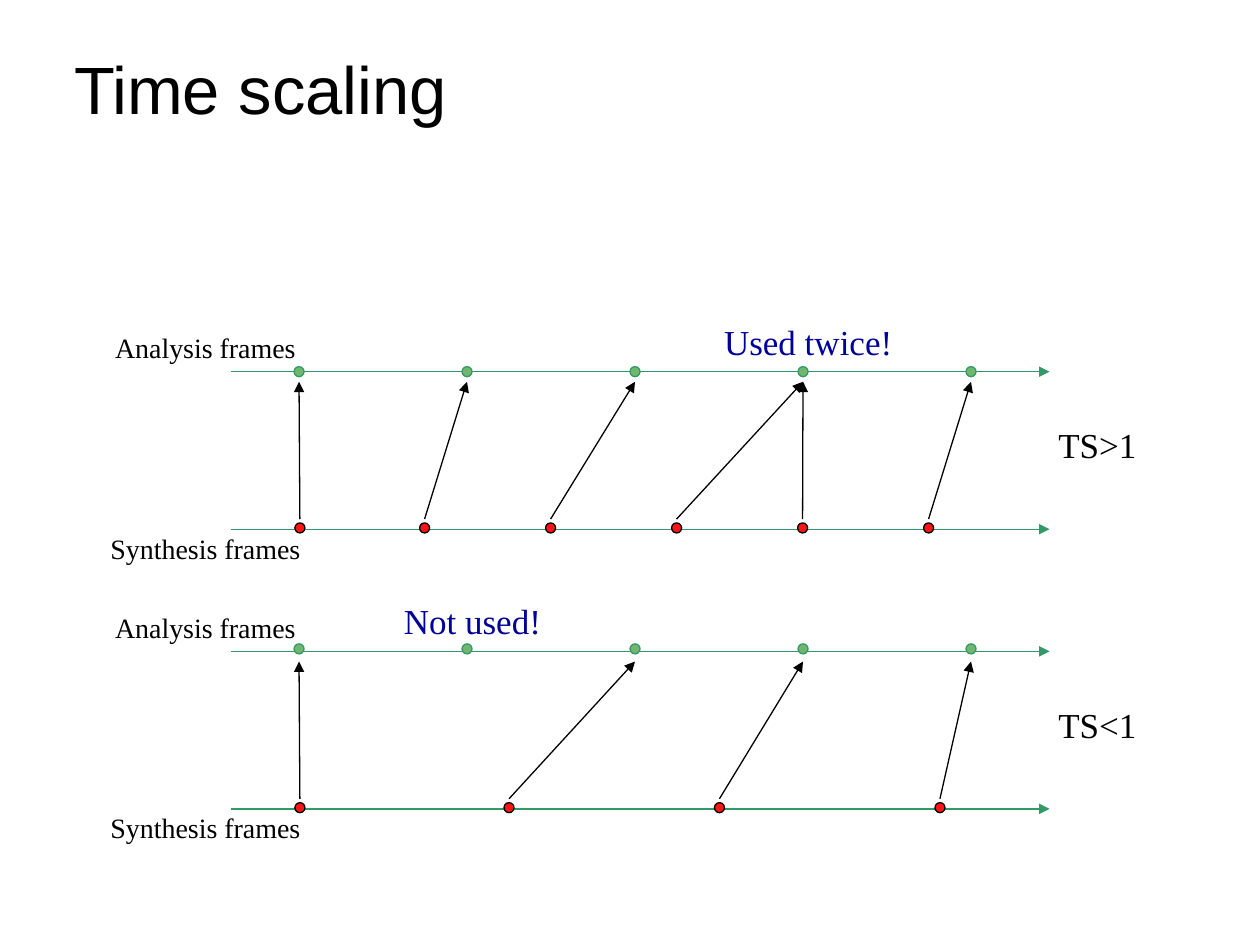
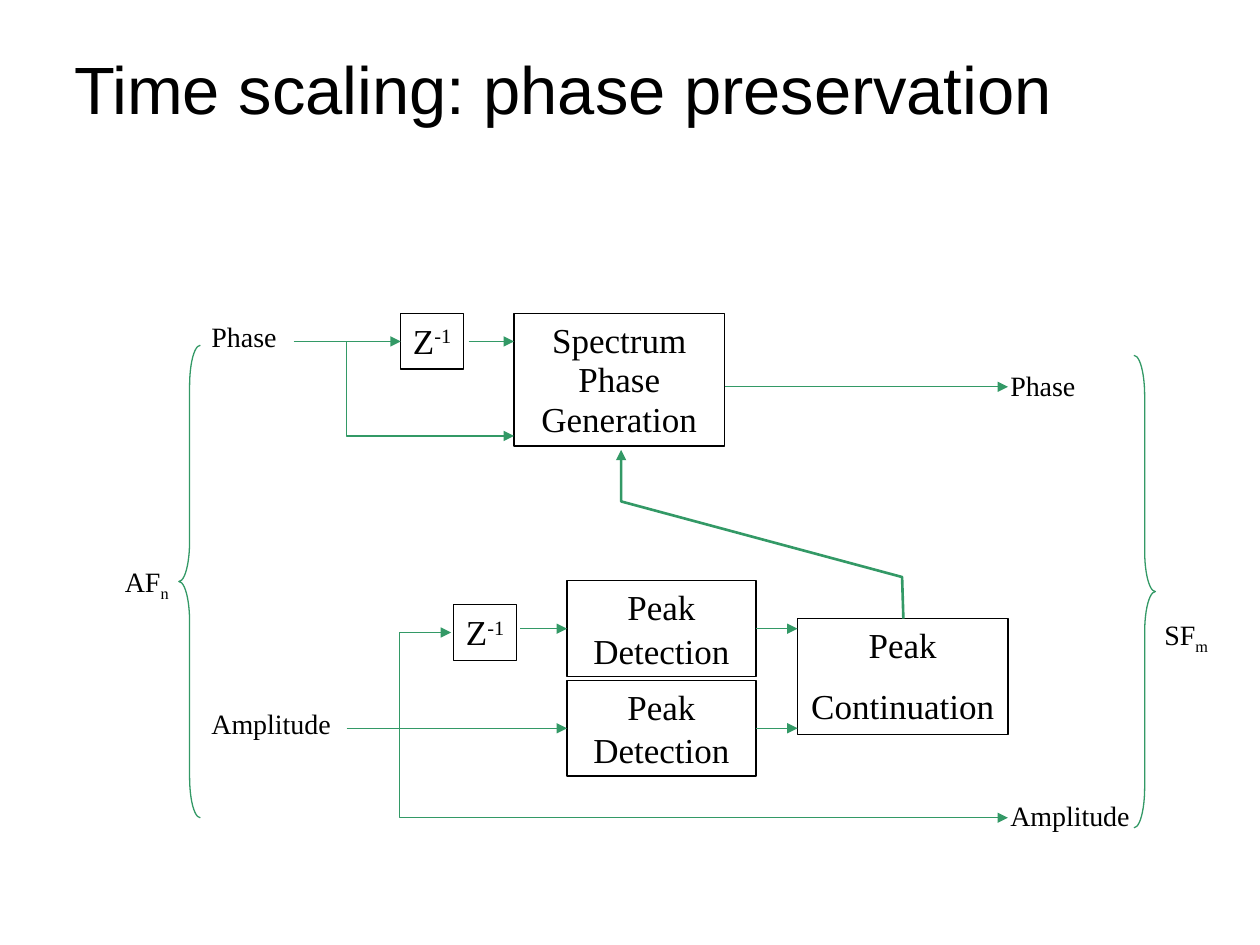
"""Builds two slides on time scaling: frame mapping and phase preservation."""
from lxml.etree import SubElement
from pptx import Presentation
from pptx.dml.color import RGBColor
from pptx.enum.shapes import MSO_CONNECTOR, MSO_SHAPE as SHAPE
from pptx.enum.text import MSO_ANCHOR as ANCHOR, PP_ALIGN as ALIGN
from pptx.oxml.ns import qn
from pptx.util import Inches, Pt

BLACK = RGBColor(0x00, 0x00, 0x00)
WHITE = RGBColor(0xFF, 0xFF, 0xFF)
GREEN = RGBColor(0x33, 0x99, 0x66)
LIGHT_GREEN = RGBColor(0x6F, 0xB7, 0x6F)
RED = RGBColor(0xFE, 0x14, 0x14)
NAVY = RGBColor(0x00, 0x00, 0x99)
TRACK_LEFT, TRACK_RIGHT = 1.83, 8.33
DOT = 0.08


def write(shape, lines, size, color=BLACK, font="Times New Roman", align=ALIGN.CENTER,
          anchor=ANCHOR.TOP, spacing=(0.93, 0.93), top=0.07, script=None):
    """Fill a shape with paragraphs, with an optional raised or lowered ending."""
    frame = shape.text_frame
    frame.word_wrap = script is None
    frame.vertical_anchor = anchor
    frame.margin_top, frame.margin_bottom = Inches(top), Inches(0.05)
    for number, line in enumerate(lines):
        para = frame.add_paragraph() if number else frame.paragraphs[0]
        para.alignment = align
        para.line_spacing = spacing[number]
        if number:
            para.space_before = Pt(12.5)
        para.font.size, para.font.name, para.font.color.rgb = Pt(size), font, color
        para.add_run().text = line
    if script:
        span = para.add_run()
        span.text, baseline = script
        span.font._element.set("baseline", str(baseline))


def arrow(line, color=GREEN, width=0.75):
    """Style a connector or an open outline as a flat arrow."""
    line.line.color.rgb = color
    line.line.width = Pt(width)
    properties = line._element.spPr
    SubElement(properties.find(qn("a:ln")), qn("a:tailEnd"), type="triangle")
    SubElement(properties, qn("a:effectLst"))


deck = Presentation()
deck.slide_width, deck.slide_height = Inches(10), Inches(7.5)
pages = []
for title in ("Time scaling", "Time scaling: phase preservation"):
    page = deck.slides.add_slide(deck.slide_layouts[6])
    box = page.shapes.add_textbox(Inches(0.49), Inches(0.01), Inches(8.51), Inches(1.35))
    write(box, [title], 38.2, font="Arial", align=ALIGN.LEFT, anchor=ANCHOR.MIDDLE,
          spacing=[1.0], top=0.08)
    pages.append(page)
frames_page, phase_page = pages

analysis_lefts = [(7 + 4 * step) / 3 for step in range(5)]
scalings = [
    ("TS>1", 2.95, 0.04, [2.34, 3.33, 4.33, 5.33, 6.33, 7.33], [0, 1, 2, 3, 3, 4],
     ("Used twice!", 5.5, 1.83)),
    ("TS<1", 5.17, 0.06, [2.34, 4, 5.67, 7.42], [0, 2, 3, 4], ("Not used!", 3, 1.5)),
]
for scale, axis, rise, synthesis_lefts, targets, (remark, remark_left, remark_width) in scalings:
    for y in (axis, axis + 1.25):
        arrow(frames_page.shapes.add_connector(
            MSO_CONNECTOR.STRAIGHT, Inches(TRACK_LEFT), Inches(y), Inches(TRACK_RIGHT), Inches(y)))
    for lefts, top, fill, outline in ((analysis_lefts, axis - rise, LIGHT_GREEN, GREEN),
                                      (synthesis_lefts, axis + 1.2, RED, BLACK)):
        for left in lefts:
            dot = frames_page.shapes.add_shape(
                SHAPE.OVAL, Inches(left), Inches(top), Inches(DOT), Inches(DOT))
            dot.shadow.inherit = False
            dot.fill.solid()
            dot.fill.fore_color.rgb = fill
            dot.line.color.rgb = outline
            dot.line.width = Pt(0.75)
    for left, target in zip(synthesis_lefts, targets):
        arrow(frames_page.shapes.add_connector(
            MSO_CONNECTOR.STRAIGHT, Inches(left + DOT / 2), Inches(axis + 1.17),
            Inches(analysis_lefts[target] + DOT / 2), Inches(axis + 0.08)), BLACK)
    for text, left, top, width, size, color in (
            ("Analysis frames", 0.67, axis - 0.37, 1.92, 16, BLACK),
            ("Synthesis frames", 0.67, axis + 1.22, 1.92, 16, BLACK),
            (scale, 8.25, axis + 0.37, 0.92, 20, BLACK),
            (remark, remark_left, axis - 0.45, remark_width, 20, NAVY)):
        box = frames_page.shapes.add_textbox(
            Inches(left), Inches(top), Inches(width), Inches(0.4))
        write(box, [text], size, color)

for text, left, top in (("Phase", 1.58, 2.49), ("Amplitude", 1.58, 5.56),
                        ("Phase", 7.92, 2.88), ("Amplitude", 7.92, 6.29)):
    box = phase_page.shapes.add_textbox(Inches(left), Inches(top), Inches(1.17), Inches(0.37))
    write(box, [text], 16, align=ALIGN.LEFT)

for text, index, left, top, brace, brace_left, brace_top in (
        ("AF", "n", 0.75, 4.41, SHAPE.LEFT_BRACE, 1.42, 2.74),
        ("SF", "m", 9, 4.83, SHAPE.RIGHT_BRACE, 9, 2.82)):
    box = phase_page.shapes.add_textbox(Inches(left), Inches(top), Inches(0.83), Inches(0.4))
    write(box, [text], 16, script=(index, -25000))
    bracket = phase_page.shapes.add_shape(
        brace, Inches(brace_left), Inches(brace_top), Inches(0.17), Inches(3.75))
    bracket.adjustments[0] = 1.88
    bracket.shadow.inherit = False
    bracket.fill.background()
    bracket.line.color.rgb = GREEN
    bracket.line.width = Pt(0.75)

delay = dict(lines=["Z"], script=("-1", 30000), anchor=ANCHOR.MIDDLE)
detection = dict(lines=["Peak", "Detection"], spacing=(0.74, 0.46), top=0.12)
blocks = {}
for name, left, top, width, height, content in (
        ("phase delay", 3.18, 2.49, 0.5, 0.44, delay),
        ("peak delay", 3.6, 4.8, 0.5, 0.44, delay),
        ("delayed peaks", 4.5, 4.61, 1.5, 0.76, detection),
        ("current peaks", 4.5, 5.4, 1.5, 0.76, detection),
        ("continuation", 6.33, 4.91, 1.67, 0.92, dict(lines=["Peak", "Continuation"])),
        ("generation", 4.08, 2.49, 1.67, 1.05, dict(lines=["Spectrum Phase Generation"]))):
    block = phase_page.shapes.add_shape(
        SHAPE.RECTANGLE, Inches(left), Inches(top), Inches(width), Inches(height))
    block.shadow.inherit = False
    block.fill.solid()
    block.fill.fore_color.rgb = WHITE
    block.line.color.rgb = BLACK
    block.line.width = Pt(0.75)
    write(block, size=20, **content)
    blocks[name] = block

for start, end, y, source, target in (
        (2.33, 3.18, 2.71, None, "phase delay"),
        (3.72, 4.08, 2.71, None, None),
        (5.75, 8, 3.07, None, None),
        (4.13, 4.5, 4.99, None, "delayed peaks"),
        (2.75, 4.5, 5.78, None, "current peaks"),
        (6, 6.33, 4.99, "delayed peaks", None),
        (6, 6.33, 5.78, "current peaks", None)):
    link = phase_page.shapes.add_connector(
        MSO_CONNECTOR.STRAIGHT, Inches(start), Inches(y), Inches(end), Inches(y))
    if source:
        link.begin_connect(blocks[source], 3)
    if target:
        link.end_connect(blocks[target], 1)
    arrow(link)

for width, corners in (
        (0.75, [(2.75, 2.71), (2.75, 3.46), (4.08, 3.46)]),
        (0.75, [(3.17, 5.77), (3.17, 5.02), (3.58, 5.02)]),
        (0.75, [(3.17, 5.74), (3.17, 6.49), (8, 6.49)]),
        (1.5, [(7.17, 4.91), (7.16, 4.58), (4.93, 3.98), (4.93, 3.57)])):
    first, *others = [(Inches(x), Inches(y)) for x, y in corners]
    builder = phase_page.shapes.build_freeform(*first)
    builder.add_line_segments(others, close=False)
    bend = builder.convert_to_shape()
    bend.fill.background()
    arrow(bend, width=width)

deck.save("out.pptx")
